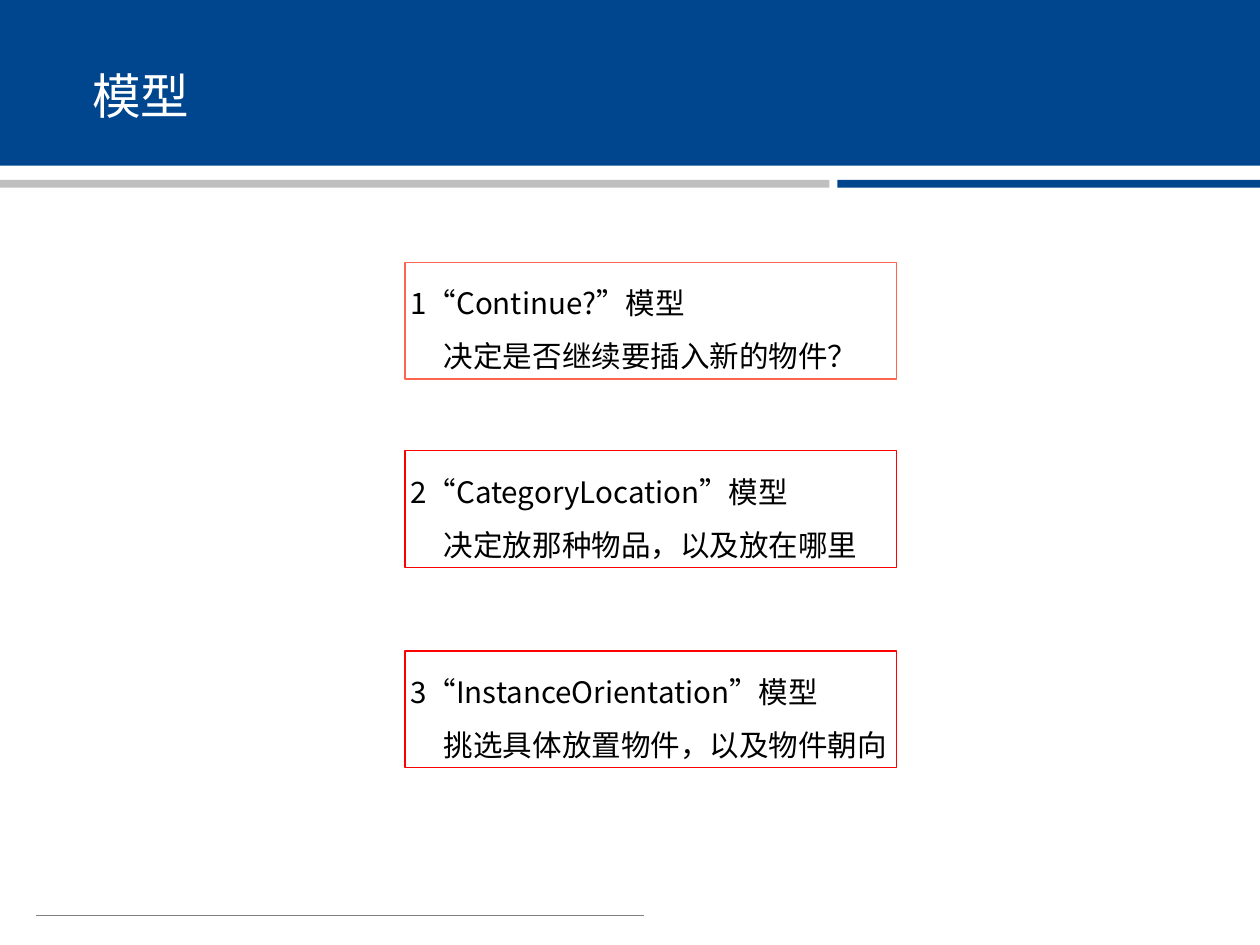
from lxml.etree import SubElement
from pptx import Presentation
from pptx.dml.color import RGBColor
from pptx.enum.lang import MSO_LANGUAGE_ID as LANG
from pptx.enum.shapes import MSO_CONNECTOR as CONN, MSO_SHAPE as SHAPE
from pptx.enum.text import MSO_ANCHOR as ANCHOR, MSO_AUTO_SIZE as AUTO, PP_ALIGN as ALIGN
from pptx.oxml.ns import qn
from pptx.util import Inches, Pt

FONT = "Noto Sans CJK SC"
BLUE, GREY = "00468E", "BFBFBF"
WIDTH, HEIGHT = 14.22, 10.67
MODELS = [
    (2.96, "FF644E", "1“Continue?”模型", "决定是否继续要插入新的物件？"),
    (5.09, "FF0000", "2“CategoryLocation”模型", "决定放那种物品，以及放在哪里"),
    (7.35, "FF0000", "3“InstanceOrientation”模型", "挑选具体放置物件，以及物件朝向"),
]


def rgb(color):
    """Turn a hex string into a colour."""
    return RGBColor.from_string(color)


def add_rect(s, x, y, w, h, fill=None, line=None):
    """Add a flat rectangle with an optional fill and outline."""
    sp = s.shapes.add_shape(SHAPE.RECTANGLE, Inches(x), Inches(y), Inches(w), Inches(h))
    sp.shadow.inherit = False
    if fill:
        sp.fill.solid()
        sp.fill.fore_color.rgb = rgb(fill)
    else:
        sp.fill.background()
    if line:
        sp.line.color.rgb = rgb(line)
        sp.line.width = Pt(1)
    else:
        sp.line.fill.background()
    return sp


def setup_frame(sp, inset):
    """Prepare a wrapped, vertically centred text frame."""
    tf = sp.text_frame
    tf.word_wrap = True
    tf.vertical_anchor = ANCHOR.MIDDLE
    tf.margin_left = tf.margin_right = Inches(inset)
    tf.margin_top = tf.margin_bottom = Inches(inset)
    return tf


def write(p, text, size=24, color="000000", spacing=1.5, left=0, hang=0):
    """Write one formatted, left-aligned paragraph."""
    p.alignment = ALIGN.LEFT
    p.line_spacing = spacing
    pPr = p._p.get_or_add_pPr()
    pPr.set("marL", str(Inches(left)))
    pPr.set("indent", str(-Inches(hang)))
    r = p.add_run()
    r.text = text
    r.font.size = Pt(size)
    r.font.color.rgb = rgb(color)
    r.font.name = FONT
    r.font.language_id = LANG.SIMPLIFIED_CHINESE
    SubElement(r._r.get_or_add_rPr(), qn("a:ea"), typeface=FONT)


def add_header(s, x, y, w, title):
    """Draw the title band and the two-part stripe below it."""
    add_rect(s, x, y, w, 1.87, BLUE)
    add_rect(s, x, y + 2.03, 9.36, 0.09, GREY)
    add_rect(s, x + 9.45, y + 2.03, w - 9.45, 0.09, BLUE)
    box = s.shapes.add_textbox(Inches(x + 0.97), Inches(y + 0.65), Inches(12.27), Inches(0.93))
    write(setup_frame(box, 0.07).paragraphs[0], title, size=39.5, color="FFFFFF", spacing=0.9)


def add_model(s, x, y, w, h, line, name, purpose):
    """Draw one outlined box with a model's name and purpose."""
    tf = setup_frame(add_rect(s, x, y, w, h, line=line), 0.06)
    tf.auto_size = AUTO.SHAPE_TO_FIT_TEXT
    write(tf.paragraphs[0], name, left=0.38, hang=0.38)
    write(tf.add_paragraph(), purpose, left=0.38)


def add_footer(s, x, y, w):
    """Draw the thin footer rule."""
    rule = s.shapes.add_connector(CONN.STRAIGHT, Inches(x), Inches(y), Inches(x + w), Inches(y))
    rule.line.color.rgb = rgb("808080")
    rule.line.width = Pt(0.25)
    SubElement(rule._element.spPr, qn("a:effectLst"))


def main():
    """Build and save the slide."""
    prs = Presentation()
    prs.slide_width, prs.slide_height = Inches(WIDTH), Inches(HEIGHT)
    s = prs.slides.add_slide(prs.slide_layouts[6])
    add_header(s, 0, 0, WIDTH, "模型")
    add_footer(s, 0.41, 10.33, 6.86)
    for y, line, name, purpose in MODELS:
        add_model(s, 4.57, y, 5.55, 1.32, line, name, purpose)
    prs.save("out.pptx")


if __name__ == "__main__":
    main()
